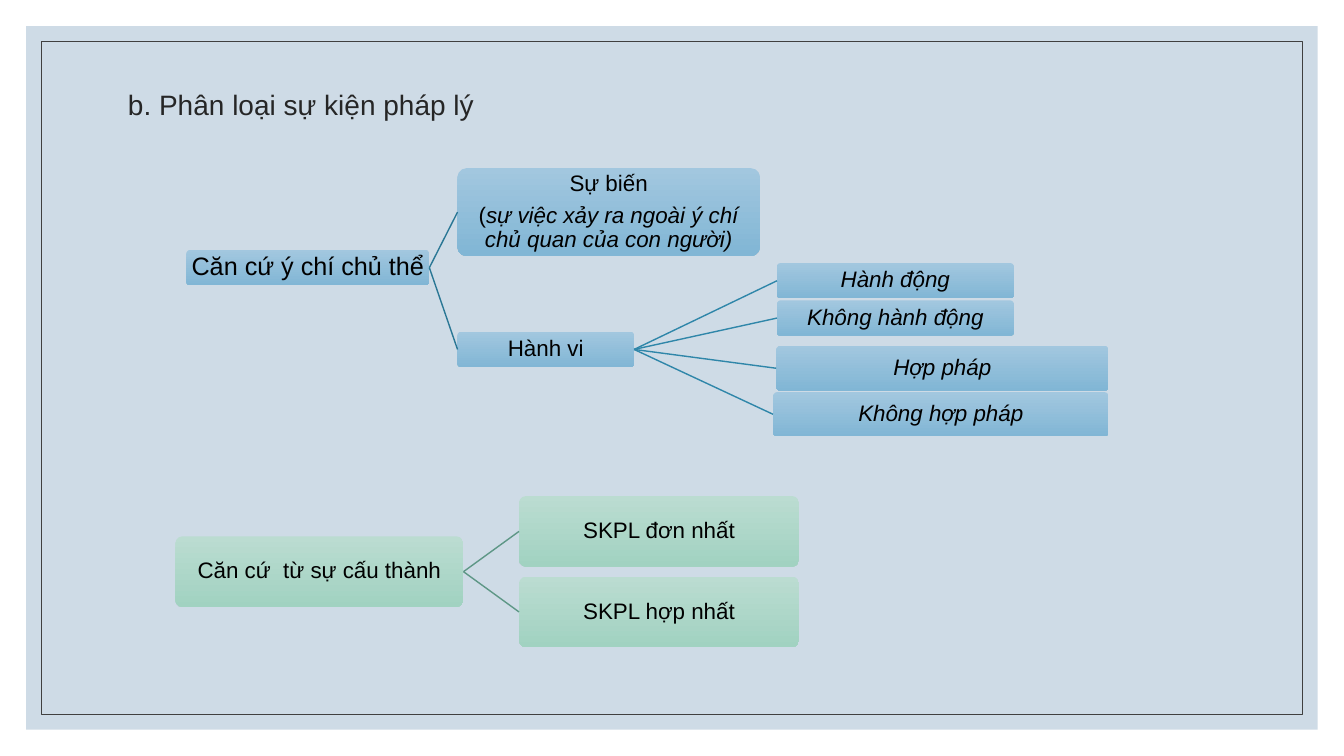
from collections import namedtuple

from lxml import etree
from pptx import Presentation
from pptx.dml.color import RGBColor
from pptx.enum.shapes import MSO_CONNECTOR, MSO_SHAPE
from pptx.enum.text import MSO_ANCHOR, PP_ALIGN
from pptx.oxml.ns import qn
from pptx.util import Cm, Pt

Box = namedtuple("Box", "left top width height")
Palette = namedtuple("Palette", "light dark")

RECTANGLE = MSO_SHAPE.RECTANGLE
ROUNDED = MSO_SHAPE.ROUNDED_RECTANGLE
STRAIGHT = MSO_CONNECTOR.STRAIGHT
MIDDLE = MSO_ANCHOR.MIDDLE
LEFT, CENTER = PP_ALIGN.LEFT, PP_ALIGN.CENTER
LEFT_SIDE, RIGHT_SIDE = 1, 3

PANEL = RGBColor(0xCE, 0xDB, 0xE6)
FRAME_LINE = RGBColor(0x40, 0x40, 0x40)
TITLE_TEXT = RGBColor(0x26, 0x26, 0x26)
BLACK = RGBColor(0, 0, 0)
BLUE = Palette(RGBColor(0xA2, 0xC7, 0xDF), RGBColor(0x81, 0xB6, 0xD5))
GREEN = Palette(RGBColor(0xBB, 0xDC, 0xD1), RGBColor(0xA1, 0xD2, 0xC1))
BLUE_DARK_LINE = RGBColor(0x2A, 0x77, 0x95)
BLUE_LINE = RGBColor(0x2F, 0x86, 0xA9)
GREEN_LINE = RGBColor(0x5E, 0x97, 0x86)

FONT = "Arial"
SLIDE = Box(0, 0, 33.87, 19.05)


def inset(box, margin):
    return Box(box.left + margin, box.top + margin,
               box.width - 2 * margin, box.height - 2 * margin)


def within(region, left, top, width, height):
    return Box(region.left + left, region.top + top, width, height)


def lengths(box):
    return [Cm(value) for value in box]


def write(para, text, size=16, color=BLACK, italic=False, align=CENTER, after=0):
    para.alignment = align
    para.line_spacing = 0.9
    para.space_before = Pt(0)
    para.space_after = Pt(after)
    span = para.add_run()
    span.text = text
    span.font.name = FONT
    span.font.size = Pt(size)
    span.font.italic = italic
    span.font.color.rgb = color


def add_node(page, box, palette, text=None, **text_format):
    """Rounded box with a vertical gradient."""
    node = page.shapes.add_shape(ROUNDED, *lengths(box))
    node.adjustments[0] = 0.1
    node.shadow.inherit = False
    node.line.fill.background()
    node.fill.gradient()
    node.fill.gradient_angle = 270
    for stop, color in zip(node.fill.gradient_stops, palette):
        stop.color.rgb = color
    frame = node.text_frame
    frame.word_wrap = True
    frame.vertical_anchor = MIDDLE
    frame.margin_left = frame.margin_right = Cm(0.03)
    frame.margin_top = frame.margin_bottom = Cm(0.03)
    if text:
        write(frame.paragraphs[0], text, **text_format)
    return node


def link(page, parent, children, color):
    """Lines from the parent's right side to each child's left side."""
    for child in children:
        line = page.shapes.add_connector(STRAIGHT, 0, 0, 0, 0)
        line.begin_connect(parent, RIGHT_SIDE)
        line.end_connect(child, LEFT_SIDE)
        line.line.color.rgb = color
        line.line.width = Pt(1)
        etree.SubElement(line.element.spPr, qn("a:effectLst"))


def add_backdrop(page, box):
    """Tinted panel with a thin inner frame, behind the title."""
    panel = page.shapes.add_shape(RECTANGLE, *lengths(box))
    panel.fill.solid()
    panel.fill.fore_color.rgb = PANEL
    panel.line.fill.background()
    frame = page.shapes.add_shape(RECTANGLE, *lengths(inset(box, 0.38)))
    frame.fill.background()
    frame.line.color.rgb = FRAME_LINE
    frame.line.width = Pt(0.5)
    for shape in (panel, frame):
        shape.shadow.inherit = False
        page.shapes.title.element.addprevious(shape.element)


def add_title(page, box, text):
    title = page.shapes.title
    title.left, title.top, title.width, title.height = lengths(box)
    title.text_frame.vertical_anchor = MIDDLE
    write(title.text_frame.paragraphs[0], text,
          size=20, color=TITLE_TEXT, align=LEFT)


def add_will_tree(page, region):
    """Classification by the will of the subject."""
    root = add_node(page, within(region, 0, 2.06, 6.12, 0.89), BLUE,
                    "Căn cứ ý chí chủ thể", size=18)

    # Events, with an explanation
    event = add_node(page, within(region, 6.83, 0, 7.62, 2.21), BLUE,
                     "Sự biến", after=5.6)
    para = event.text_frame.add_paragraph()
    write(para, "(")
    write(para, "sự việc xảy ra ngoài ý chí chủ quan của con người)", italic=True)

    # Acts and their kinds
    act = add_node(page, within(region, 6.83, 4.12, 4.45, 0.89), BLUE, "Hành vi")
    kinds = [
        ("Hành động", 14.88, 2.39, 5.97, 0.89),
        ("Không hành động", 14.88, 3.33, 5.97, 0.89),
        ("Hợp pháp", 14.86, 4.47, 8.38, 1.14),
        ("Không hợp pháp", 14.78, 5.64, 8.46, 1.12),
    ]
    leaves = [add_node(page, within(region, *place), BLUE, text, italic=True)
              for text, *place in kinds]
    link(page, root, [event, act], BLUE_DARK_LINE)
    link(page, act, leaves, BLUE_LINE)


def add_structure_tree(page, region):
    """Classification by composition."""
    height, step = 1.78, 2.03
    root = add_node(page, within(region, 0, (region.height - height) / 2, 7.26, height),
                    GREEN, "Căn cứ  từ sự cấu thành")
    leaves = [add_node(page, within(region, 8.66, row * step, 7.06, height), GREEN, text)
              for row, text in enumerate(["SKPL đơn nhất", "SKPL hợp nhất"])]
    link(page, root, leaves, GREEN_LINE)


def main():
    deck = Presentation()
    deck.slide_width, deck.slide_height = Cm(SLIDE.width), Cm(SLIDE.height)
    title_only = deck.slide_layouts[5]
    page = deck.slides.add_slide(title_only)
    add_backdrop(page, inset(SLIDE, 0.66))
    add_title(page, Box(2.97, 1.78, 27.94, 1.8), "b. Phân loại sự kiện pháp lý")
    add_will_tree(page, Box(4.7, 4.24, 23.24, 6.76))
    add_structure_tree(page, Box(4.42, 12.5, 15.72, 3.81))
    deck.save("out.pptx")


if __name__ == "__main__":
    main()
